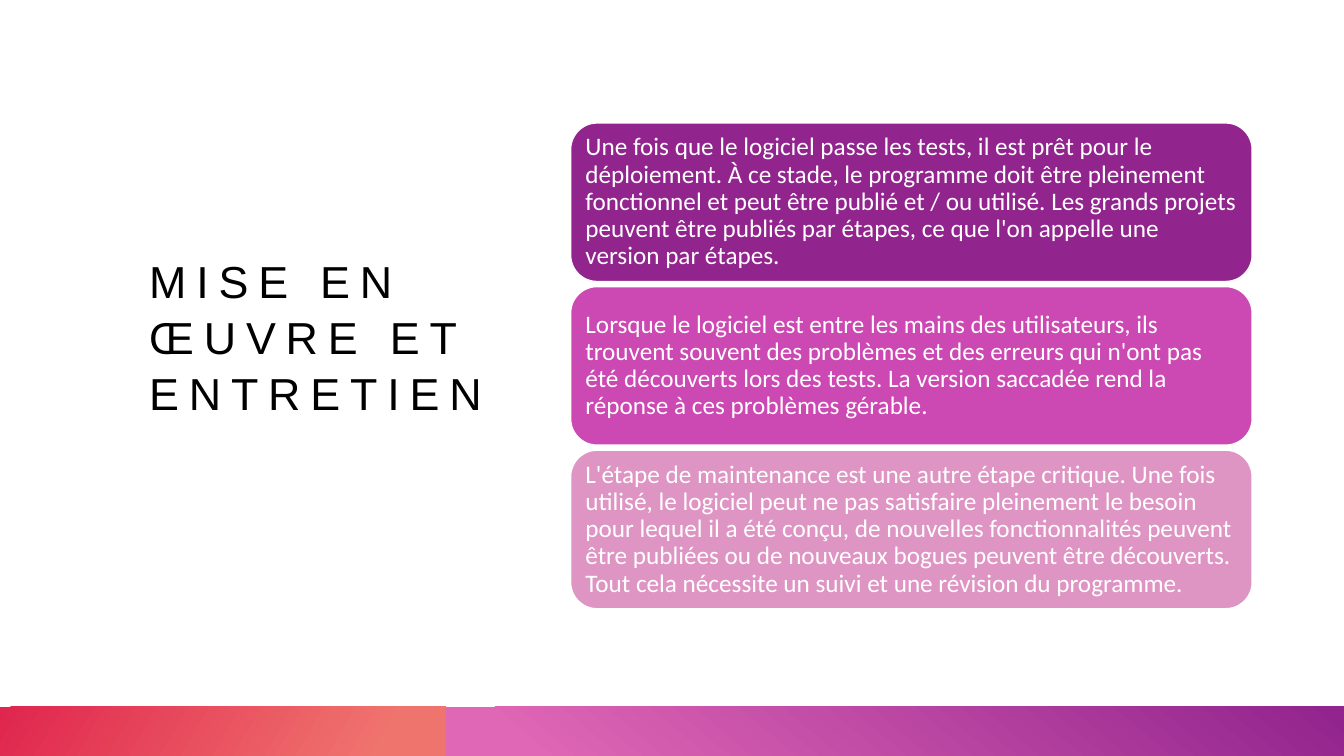
from pptx import Presentation
from pptx import util as u
from pptx.dml.color import RGBColor
from pptx.enum import shapes, text

BLACK = RGBColor(0x00, 0x00, 0x00)
WHITE = RGBColor(0xFF, 0xFF, 0xFF)
RED = RGBColor(0xE0, 0x26, 0x4E)
CORAL = RGBColor(0xF0, 0x74, 0x6E)
PINK = RGBColor(0xE0, 0x67, 0xB5)
PURPLE = RGBColor(0x92, 0x24, 0x8E)
MAGENTA = RGBColor(0xCC, 0x48, 0xB2)
ROSE = RGBColor(0xDE, 0x95, 0xC4)

SLIDE_WIDTH, SLIDE_HEIGHT = 13.33, 7.5
FOOTER_HEIGHT = 0.49
FOOTER_SPLIT = 4.42

STEPS = [
    (PURPLE, "Une fois que le logiciel passe les tests, il est prêt pour le déploiement. "
             "À ce stade, le programme doit être pleinement fonctionnel et peut être publié "
             "et / ou utilisé. Les grands projets peuvent être publiés par étapes, ce que "
             "l'on appelle une version par étapes."),
    (MAGENTA, "Lorsque le logiciel est entre les mains des utilisateurs, ils trouvent souvent "
              "des problèmes et des erreurs qui n'ont pas été découverts lors des tests. "
              "La version saccadée rend la réponse à ces problèmes gérable."),
    (ROSE, "L'étape de maintenance est une autre étape critique. Une fois utilisé, le logiciel "
           "peut ne pas satisfaire pleinement le besoin pour lequel il a été conçu, de "
           "nouvelles fonctionnalités peuvent être publiées ou de nouveaux bogues peuvent être "
           "découverts. Tout cela nécessite un suivi et une révision du programme."),
]


def place(shape, left, top, width, height):
    shape.left, shape.top = u.Inches(left), u.Inches(top)
    shape.width, shape.height = u.Inches(width), u.Inches(height)


def set_frame(frame, inset, bottom):
    frame.word_wrap = True
    frame.auto_size = text.MSO_AUTO_SIZE.NONE
    frame.vertical_anchor = text.MSO_ANCHOR.MIDDLE
    frame.margin_left = frame.margin_right = frame.margin_top = u.Inches(inset)
    frame.margin_bottom = u.Inches(bottom)


def format_paragraph(paragraph, font_name, size, color, spacing):
    paragraph.alignment = text.PP_ALIGN.LEFT
    paragraph.line_spacing = spacing
    paragraph.font.name = font_name
    paragraph.font.size = u.Pt(size)
    paragraph.font.color.rgb = color


def add_title(slide, left, top, width, height):
    title = slide.shapes.title
    place(title, left, top, width, height)
    title.text_frame.text = "MISE EN ŒUVRE ET ENTRETIEN"
    set_frame(title.text_frame, 0, 0.48)
    paragraph = title.text_frame.paragraphs[0]
    format_paragraph(paragraph, "Arial", 32, BLACK, 1.04)
    paragraph.runs[0].font._element.set("spc", "700")


def add_gradient_bar(slide, left, top, width, height, angle, stops):
    bar = slide.shapes.add_shape(
        shapes.MSO_SHAPE.RECTANGLE, *map(u.Inches, (left, top, width, height)))
    bar.shadow.inherit = False
    bar.line.fill.background()
    bar.fill.gradient()
    bar.fill.gradient_angle = angle
    for stop, (position, color) in zip(bar.fill.gradient_stops, stops):
        stop.position = position
        stop.color.rgb = color


def add_footer(slide, left, top, width, height):
    add_gradient_bar(slide, left, top, FOOTER_SPLIT, height, 330,
                     [(0, RED), (0.86, CORAL)])
    add_gradient_bar(slide, left + FOOTER_SPLIT, top, width - FOOTER_SPLIT, height, 50,
                     [(0.09, PINK), (0.99, PURPLE)])


def add_steps(slide, left, top, width, height, gap=0.05):
    card_height = (height - gap * (len(STEPS) - 1)) / len(STEPS)
    for index, (color, wording) in enumerate(STEPS):
        card_top = top + index * (card_height + gap)
        card = slide.shapes.add_shape(
            shapes.MSO_SHAPE.ROUNDED_RECTANGLE,
            *map(u.Inches, (left, card_top, width, card_height)))
        card.shadow.inherit = False
        card.fill.solid()
        card.fill.fore_color.rgb = color
        card.line.color.rgb = WHITE
        card.line.width = u.Pt(1)
        card.text_frame.text = wording
        set_frame(card.text_frame, 0.07, 0.07)
        format_paragraph(card.text_frame.paragraphs[0], "Calibri", 18, WHITE, 0.9)


def build_slide(presentation):
    slide = presentation.slides.add_slide(presentation.slide_layouts[5])
    slide.background.fill.solid()
    slide.background.fill.fore_color.rgb = WHITE
    add_title(slide, 1.48, 1.12, 3.64, 4.89)
    add_footer(slide, 0, SLIDE_HEIGHT - FOOTER_HEIGHT, SLIDE_WIDTH, FOOTER_HEIGHT)
    add_steps(slide, 5.66, 1.22, 6.76, 4.82)


presentation = Presentation()
presentation.slide_width = u.Inches(SLIDE_WIDTH)
presentation.slide_height = u.Inches(SLIDE_HEIGHT)
build_slide(presentation)
presentation.save("out.pptx")
